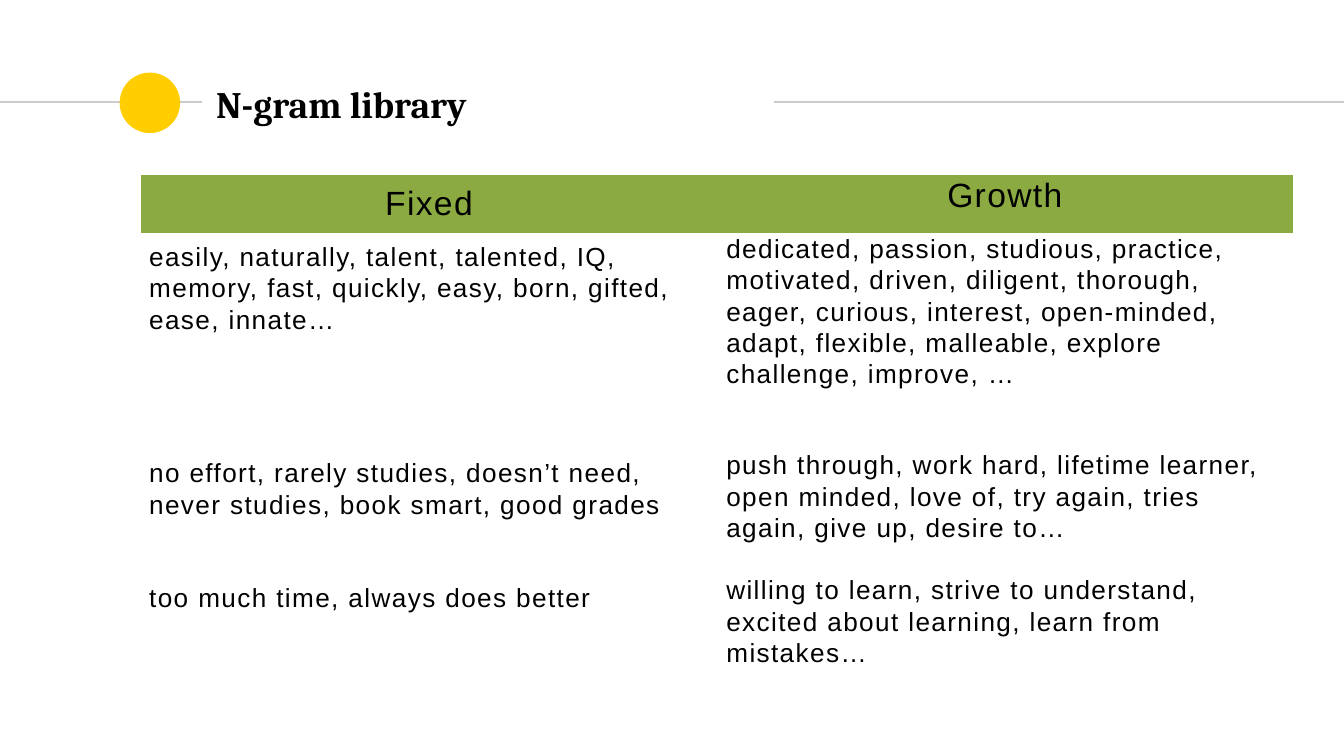
from pptx import Presentation
from pptx.dml.color import RGBColor
from pptx.enum import shapes, text
from pptx.oxml.ns import qn
from pptx.util import Inches, Pt

NO_GRID = "{2D5ABB26-0587-4C30-8999-92F81FD0307C}"


def tint(code):
    return RGBColor.from_string(code)


def write(frame, words, size=14, font="Arial", bold=False, align=None,
          space=None, lead=None, track=None):
    """Fill a text frame; track is letter spacing in points."""
    para = frame.paragraphs[0]
    para.alignment = align
    para.line_spacing = lead
    if space is not None:
        para.space_before = Pt(space)
    run = para.add_run()
    run.text = words
    run.font.size = Pt(size)
    run.font.name = font
    run.font.bold = bold
    run.font.color.rgb = tint("000000")
    if track:
        run.font._element.set("spc", str(round(track * 100)))


deck = Presentation()
deck.slide_width = Inches(10)
deck.slide_height = Inches(10 * 9 / 16)
slide = deck.slides.add_slide(deck.slide_layouts[6])

# Title rule and dot
for start, end in [(0, 1.5), (5.76, 10)]:
    rule = slide.shapes.add_connector(
        shapes.MSO_CONNECTOR.STRAIGHT,
        Inches(start), Inches(0.76), Inches(end), Inches(0.76))
    rule.line.color.rgb = tint("CCCCCC")
    rule.line.width = Pt(0.75)
    props = rule._element.spPr
    props.append(props.makeelement(qn("a:effectLst"), {}))

dot = slide.shapes.add_shape(
    shapes.MSO_SHAPE.OVAL,
    Inches(0.89), Inches(0.54), Inches(0.45), Inches(0.45))
dot.shadow.inherit = False
dot.fill.solid()
dot.fill.fore_color.rgb = tint("FFCD00")
dot.line.fill.background()

title = slide.shapes.add_textbox(
    Inches(1.51), Inches(0.53), Inches(4.24), Inches(0.48)).text_frame
title.word_wrap = True
title.vertical_anchor = text.MSO_ANCHOR.MIDDLE
title.margin_left = title.margin_right = Inches(0.1)
title.margin_top = title.margin_bottom = Inches(0.1)
write(title, "N-gram library", size=20, font="Cambria", bold=True)

# Word table
rows = [
    ("Fixed", "Growth"),
    ("easily, naturally, talent, talented, IQ, memory, fast, quickly, easy, "
     "born, gifted, ease, innate…",
     "dedicated, passion, studious, practice, motivated, driven, diligent, "
     "thorough, eager, curious, interest, open-minded, adapt, flexible, "
     "malleable, explore challenge, improve, …"),
    ("no effort, rarely studies, doesn’t need, never studies, book smart, "
     "good grades",
     "push through, work hard, lifetime learner, open minded, love of, "
     "try again, tries again, give up, desire to…"),
    ("too much time, always does better",
     "willing to learn, strive to understand, excited about learning, "
     "learn from mistakes…"),
]
heights = [0.42, 1.61, 0.93, 0.93]
pads = [(0.06, 0.06, 0.05), (0.07, 0, 0)]  # side, top and bottom inset

table = slide.shapes.add_table(
    len(rows), 2, Inches(1.05), Inches(1.3),
    Inches(8.57), Inches(sum(heights))).table
table.first_row = table.horz_banding = False
table._tbl.tblPr.find(qn("a:tableStyleId")).text = NO_GRID

for r, (row, height) in enumerate(zip(rows, heights)):
    table.rows[r].height = Inches(height)
    for c, (words, (side, top, base)) in enumerate(zip(row, pads)):
        cell = table.cell(r, c)
        cell.margin_left = cell.margin_right = Inches(side)
        cell.margin_top = Inches(top)
        cell.margin_bottom = Inches(base)
        head = r == 0
        if head:
            cell.fill.solid()
            cell.fill.fore_color.rgb = tint("8BAB42")
        else:
            cell.fill.background()
        write(cell.text_frame, words, size=18 if head else 14,
              align=text.PP_ALIGN.CENTER if head else text.PP_ALIGN.LEFT,
              space=0, lead=1.07, track=0.75)

deck.save("out.pptx")
